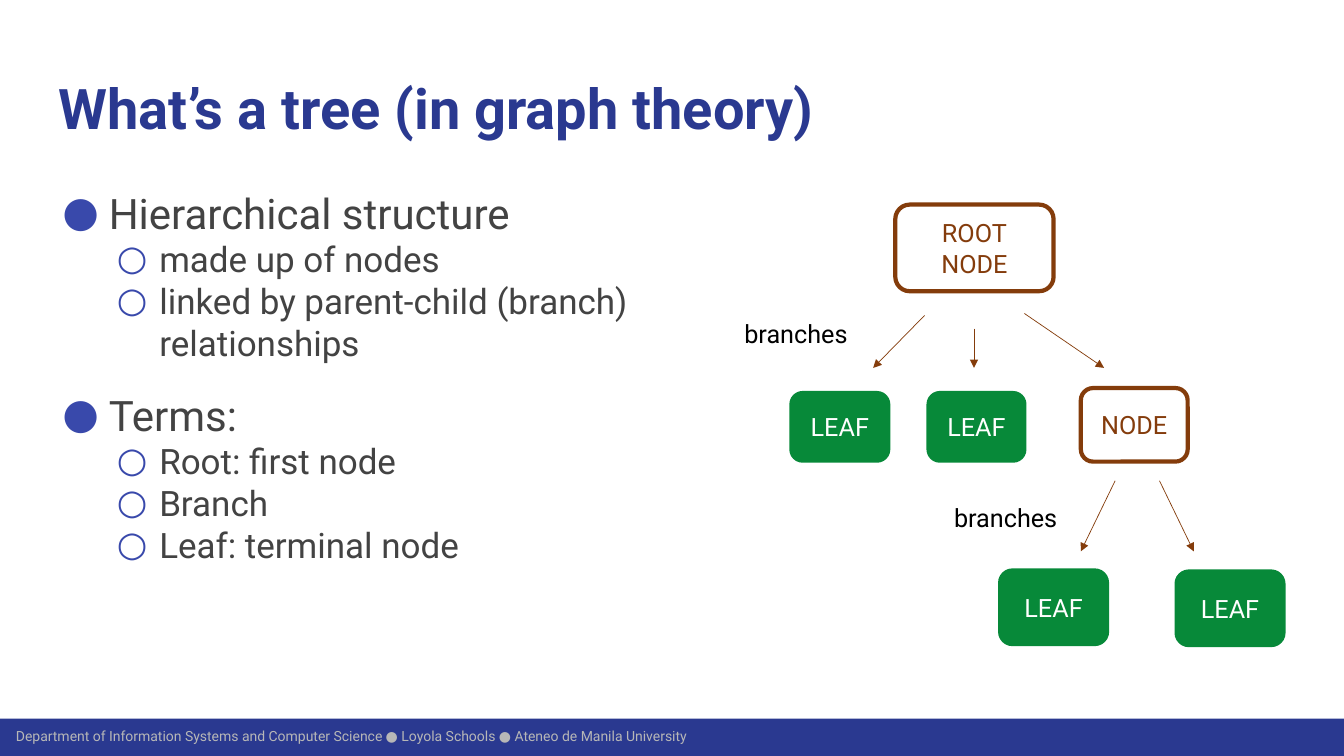
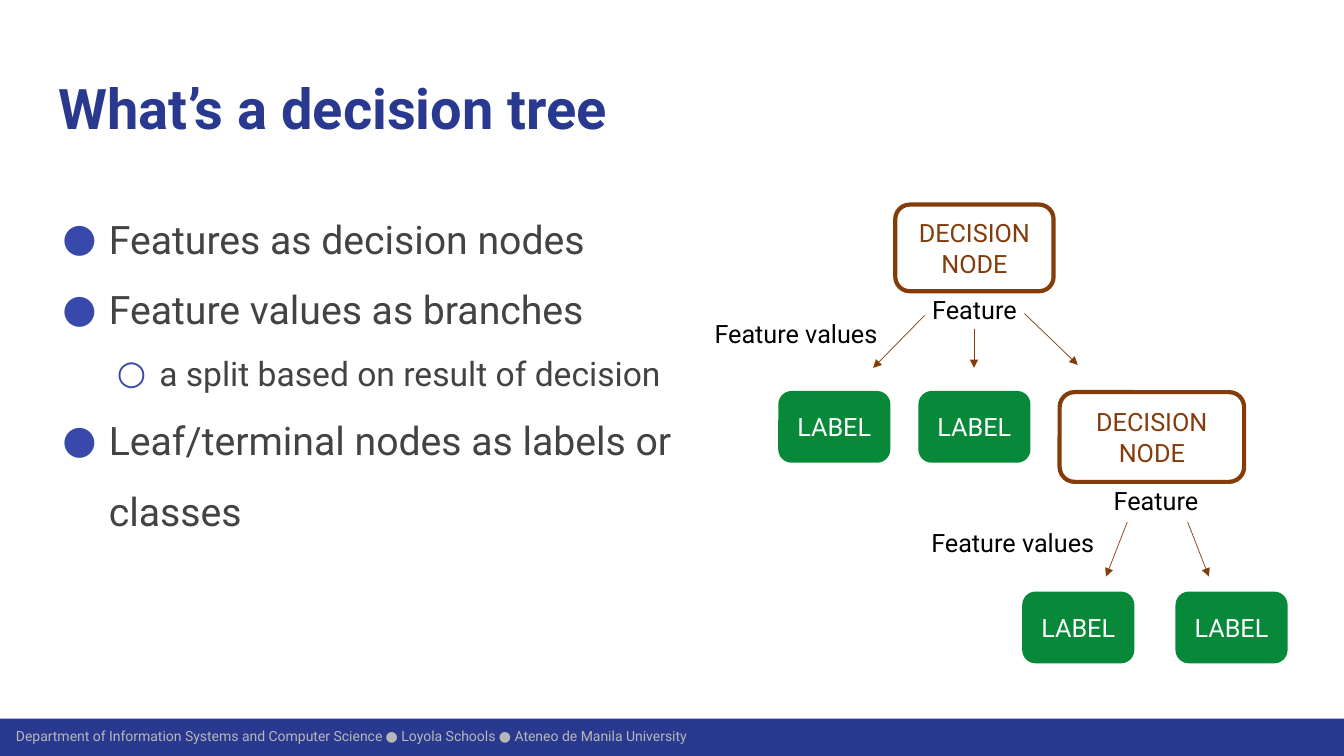
"""Build two slides that introduce trees and decision trees."""
from lxml.etree import SubElement
from pptx import Presentation
from pptx.dml.color import RGBColor
from pptx.enum.shapes import MSO_CONNECTOR, MSO_SHAPE
from pptx.enum.text import MSO_ANCHOR, PP_ALIGN
from pptx.oxml.ns import qn
from pptx.util import Inches, Pt

NAVY, BULLET, BODY, FOOTER = "2A3990", "3949AB", "434343", "B7B7B7"
BROWN, BROWN_TEXT, GREEN, WHITE, BLACK = "843C0B", "843C0C", "078939", "FFFFFF", "000000"
FONT = "Roboto"
FOOTER_TEXT = ("Department of Information Systems and Computer Science ● "
               "Loyola Schools ● Ateneo de Manila University")
BULLETS = [("●", 0.5, -0.46), ("○", 1, -0.42)]
NODE_STYLES = {
    "node": {"fill": WHITE, "line": BROWN, "text": BROWN_TEXT},
    "leaf": {"fill": GREEN, "line": GREEN, "text": WHITE},
}

SLIDES = [
    {
        "title": "What’s a tree (in graph theory)",
        "body_at": (0.45, 1.48, 6.67, 5.61),
        "sizes": (30, 25),
        "spacings": (1.5, 1.0),
        "points": [
            (0, "Hierarchical structure"),
            (1, "made up of nodes"),
            (1, "linked by parent-child (branch) relationships"),
            (0, "Terms:"),
            (1, "Root: first node"),
            (1, "Branch"),
            (1, "Leaf: terminal node"),
        ],
        "nodes": [
            ("node", ["ROOT", "NODE"], (8.88, 2.03, 1.57, 0.86)),
            ("leaf", ["LEAF"], (7.85, 3.9, 0.96, 0.67)),
            ("leaf", ["LEAF"], (9.21, 3.9, 0.95, 0.67)),
            ("node", ["NODE"], (10.72, 3.85, 1.06, 0.73)),
            ("leaf", ["LEAF"], (9.92, 5.66, 1.06, 0.73)),
            ("leaf", ["LEAF"], (11.67, 5.67, 1.06, 0.73)),
        ],
        "branches": [
            (9.17, 3.13, 8.66, 3.65),
            (9.66, 3.26, 9.66, 3.65),
            (10.16, 3.11, 10.95, 3.65),
            (11.06, 4.77, 10.72, 5.47),
            (11.5, 4.77, 11.84, 5.47),
        ],
        "labels": [
            ("branches", (6.98, 3.11, 1.83, 0.4)),
            ("branches", (9.06, 4.93, 1.83, 0.4)),
        ],
    },
    {
        "title": "What’s a decision tree",
        "body_at": (0.45, 1.77, 6.67, 5.33),
        "sizes": (28, 24),
        "spacings": (1.5, 1.5),
        "points": [
            (0, "Features as decision nodes"),
            (0, "Feature values as branches"),
            (1, "a split based on result of decision"),
            (0, "Leaf/terminal nodes as labels or classes"),
        ],
        "nodes": [
            ("node", ["DECISION", "NODE"], (8.88, 2.03, 1.57, 0.86)),
            ("leaf", ["LABEL"], (7.74, 3.9, 1.07, 0.67)),
            ("leaf", ["LABEL"], (9.13, 3.9, 1.07, 0.67)),
            ("node", ["DECISION", "NODE"], (10.51, 3.89, 1.83, 0.89)),
            ("leaf", ["LABEL"], (10.16, 5.89, 1.07, 0.67)),
            ("leaf", ["LABEL"], (11.68, 5.89, 1.07, 0.67)),
        ],
        "branches": [
            (9.17, 3.13, 8.66, 3.65),
            (9.66, 3.26, 9.66, 3.65),
            (10.16, 3.11, 10.69, 3.62),
            (11.18, 5.18, 10.97, 5.72),
            (11.78, 5.18, 11.99, 5.72),
        ],
        "labels": [
            ("Feature values", (6.98, 3.11, 1.83, 0.4)),
            ("Feature values", (9.13, 5.18, 1.83, 0.4)),
            ("Feature", (9.06, 2.87, 1.21, 0.4)),
            ("Feature", (10.86, 4.77, 1.21, 0.4)),
        ],
    },
]


def color(hex_string):
    """Turn a hex string into a colour."""
    return RGBColor.from_string(hex_string)


def write(shape, lines, sizes, text_color, bold=False, inset=None,
          align=PP_ALIGN.LEFT, anchor=MSO_ANCHOR.TOP):
    """Fill a shape with one paragraph a line and return the paragraphs."""
    frame = shape.text_frame
    frame_format = {"word_wrap": True, "vertical_anchor": anchor}
    if inset is not None:
        for side in ("left", "right", "top", "bottom"):
            frame_format[f"margin_{side}"] = Inches(inset)
    for name, value in frame_format.items():
        setattr(frame, name, value)
    frame.text = "\n".join(lines)
    for paragraph, size in zip(frame.paragraphs, sizes):
        paragraph.alignment = align
        font = paragraph.runs[0].font
        for name, value in {"name": FONT, "size": Pt(size), "bold": bold}.items():
            setattr(font, name, value)
        font.color.rgb = color(text_color)
    return frame.paragraphs


presentation = Presentation()
presentation.slide_width = Inches(13.33)
presentation.slide_height = Inches(7.5)

for content in SLIDES:
    slide = presentation.slides.add_slide(presentation.slide_layouts[6])
    shapes = slide.shapes

    band = shapes.add_shape(MSO_SHAPE.RECTANGLE, *map(Inches, (0, 7.13, 13.33, 0.37)))
    band.shadow.inherit = False
    band.fill.solid()
    band.fill.fore_color.rgb = color(NAVY)
    band.line.fill.background()
    footer = shapes.add_textbox(*map(Inches, (0.06, 7.18, 10, 0.24)))
    write(footer, [FOOTER_TEXT], [10], FOOTER, inset=0.1, anchor=MSO_ANCHOR.MIDDLE)

    title = shapes.add_textbox(*map(Inches, (0.45, 0.6, 12.42, 0.89)))
    write(title, [content["title"]], [40], NAVY, bold=True, inset=0.13)

    body = shapes.add_textbox(*map(Inches, content["body_at"]))
    levels = [level for level, text in content["points"]]
    paragraphs = write(body, [text for level, text in content["points"]],
                       [content["sizes"][level] for level in levels], BODY, inset=0.13)
    for paragraph, level in zip(paragraphs, levels):
        character, margin, indent = BULLETS[level]
        paragraph.level = level
        paragraph.line_spacing = content["spacings"][level]
        properties = paragraph._p.get_or_add_pPr()
        properties.set("marL", str(Inches(margin)))
        properties.set("indent", str(Inches(indent)))
        bullet_color = SubElement(properties, qn("a:buClr"))
        SubElement(bullet_color, qn("a:srgbClr"), val=BULLET)
        SubElement(properties, qn("a:buFont"), typeface=FONT)
        SubElement(properties, qn("a:buChar"), char=character)

    for kind, lines, position in content["nodes"]:
        style = NODE_STYLES[kind]
        node = shapes.add_shape(MSO_SHAPE.ROUNDED_RECTANGLE, *map(Inches, position))
        node.shadow.inherit = False
        node.fill.solid()
        node.fill.fore_color.rgb = color(style["fill"])
        node.line.color.rgb = color(style["line"])
        node.line.width = Pt(3)
        write(node, lines, [18] * len(lines), style["text"],
              align=PP_ALIGN.CENTER, anchor=MSO_ANCHOR.MIDDLE)

    for ends in content["branches"]:
        branch = shapes.add_connector(MSO_CONNECTOR.STRAIGHT, *map(Inches, ends))
        branch.line.color.rgb = color(BROWN)
        branch.line.width = Pt(0.5)
        SubElement(branch.line._get_or_add_ln(), qn("a:tailEnd"), type="triangle")
        SubElement(branch._element.spPr, qn("a:effectLst"))

    for text, position in content["labels"]:
        label = shapes.add_textbox(*map(Inches, position))
        write(label, [text], [18], BLACK, align=PP_ALIGN.CENTER)

presentation.save("out.pptx")
